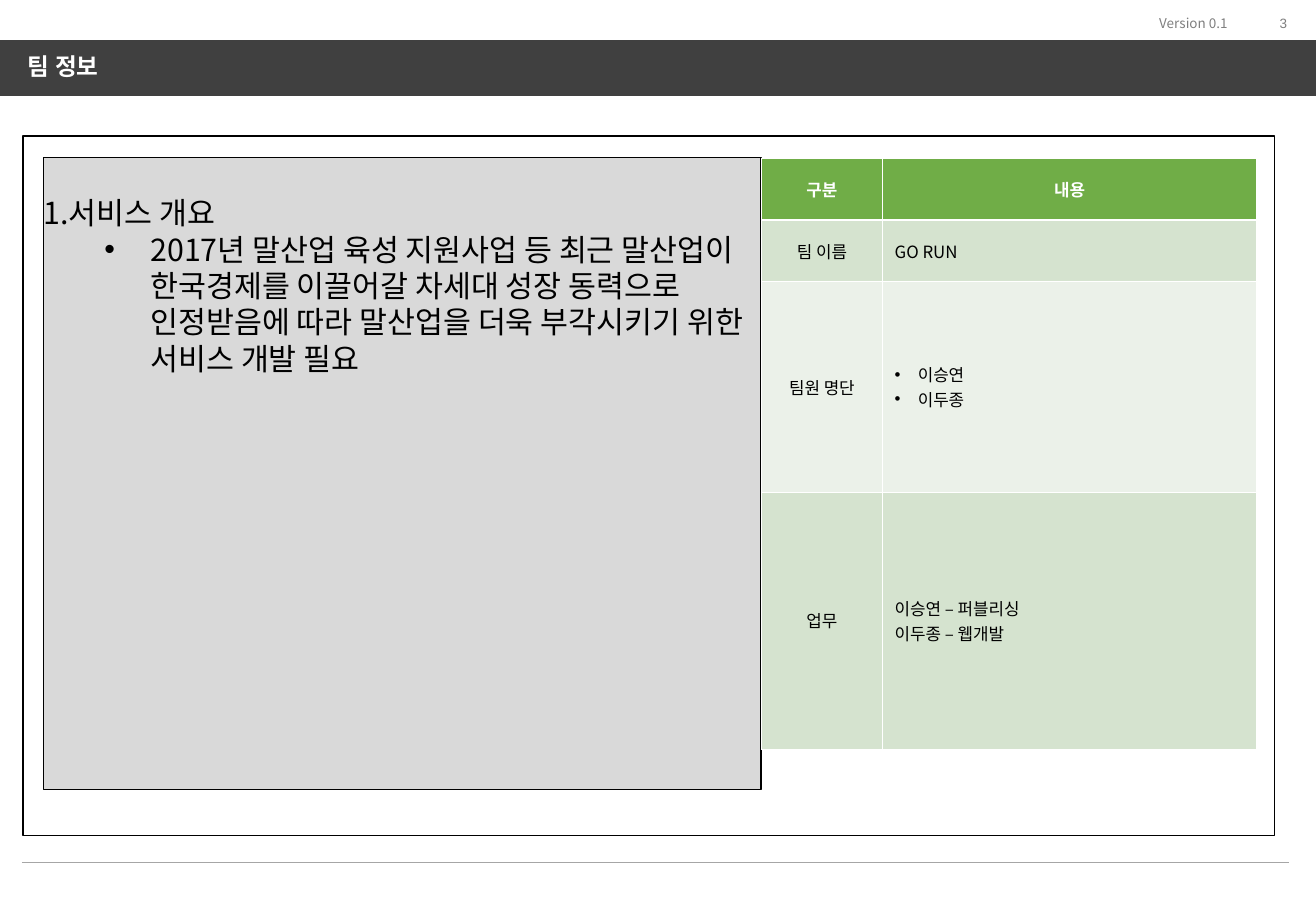
from lxml.etree import SubElement
from pptx import Presentation
from pptx.dml.color import RGBColor
from pptx.enum.shapes import MSO_CONNECTOR, MSO_SHAPE
from pptx.enum.text import MSO_ANCHOR, MSO_AUTO_SIZE, PP_ALIGN
from pptx.oxml import parse_xml
from pptx.oxml.ns import nsdecls, qn
from pptx.util import Inches, Pt

COLORS = {
    "white": "FFFFFF", "black": "000000", "bar": "404040", "muted": "7F7F7F",
    "rule": "A6A6A6", "panel": "D9D9D9", "header": "70AD47",
    "band_dark": "D5E3CF", "band_light": "EBF1E9",
}
KOREAN_FONT = "Noto Sans CJK KR"
TEAM_ROWS = [
    ("구분", ["내용"], 0.51),
    ("팀 이름", ["GO RUN"], 0.51),
    ("팀원 명단", ["이승연", "이두종"], 1.73),
    ("업무", ["이승연 – 퍼블리싱", "이두종 – 웹개발"], 2.12),
]
MEMBER_ROW = 2


def color(name):
    """Return the named colour."""
    return RGBColor.from_string(COLORS[name])


def add_text(paragraph, text, size, color_name, bold=False, font_name=KOREAN_FONT):
    """Add one formatted run to a paragraph."""
    run = paragraph.add_run()
    run.text = text
    run.font.size = Pt(size)
    run.font.bold = bold
    run.font.name = font_name
    run.font.color.rgb = color(color_name)
    SubElement(run.font._element, qn("a:ea"), typeface=KOREAN_FONT)


def set_bullet(paragraph, left, indent, tag="a:buChar", **mark):
    """Give a paragraph a list mark and its indents in inches."""
    properties = paragraph._p.get_or_add_pPr()
    properties.set("marL", str(Inches(left)))
    properties.set("indent", str(Inches(indent)))
    SubElement(properties, qn("a:buFont"), typeface="Arial")
    SubElement(properties, qn(tag), **(mark or {"char": "•"}))


def add_box(slide, box, fill=None, line=None, line_width=1):
    """Add a rectangle with an optional fill and outline."""
    shape = slide.shapes.add_shape(MSO_SHAPE.RECTANGLE, *map(Inches, box))
    shape.shadow.inherit = False
    if fill:
        shape.fill.solid()
        shape.fill.fore_color.rgb = color(fill)
    else:
        shape.fill.background()
    if line:
        shape.line.color.rgb = color(line)
        shape.line.width = Pt(line_width)
    else:
        shape.line.fill.background()
    return shape


def add_label(slide, box, text, font_name, alignment, wrap):
    """Add a small grey label at the top of the page."""
    frame = slide.shapes.add_textbox(*map(Inches, box)).text_frame
    frame.word_wrap = wrap
    frame.vertical_anchor = MSO_ANCHOR.MIDDLE
    frame.paragraphs[0].alignment = alignment
    add_text(frame.paragraphs[0], text, 8, "muted", font_name=font_name)


def add_title_bar(slide, box):
    """Add the dark bar and lay the title placeholder over it."""
    left, top, width, height = box
    add_box(slide, box, fill="bar")
    title = slide.shapes.title
    title.left, title.top = Inches(left + 0.13), Inches(top + 0.07)
    title.width, title.height = Inches(width - 0.26), Inches(height - 0.15)
    slide.shapes._spTree.append(title._element)
    frame = title.text_frame
    frame.auto_size = MSO_AUTO_SIZE.NONE
    frame.vertical_anchor = MSO_ANCHOR.MIDDLE
    paragraph = frame.paragraphs[0]
    paragraph.alignment = PP_ALIGN.LEFT
    paragraph.line_spacing = 0.9
    add_text(paragraph, "팀 정보", 14, "white", bold=True, font_name="Arial")


def add_footer_rule(slide, left, top, width):
    """Add the thin line at the foot of the page."""
    rule = slide.shapes.add_connector(
        MSO_CONNECTOR.STRAIGHT, Inches(left), Inches(top), Inches(left + width), Inches(top))
    rule.line.color.rgb = color("rule")
    rule.line.width = Pt(0.5)
    SubElement(rule._element.spPr, qn("a:effectLst"))


def add_overview(slide, box):
    """Add the grey service overview panel."""
    frame = add_box(slide, box, "panel", "black", 0.75).text_frame
    frame.word_wrap = True
    frame.vertical_anchor = MSO_ANCHOR.TOP
    frame.margin_left = frame.margin_right = frame.margin_bottom = 0
    frame.margin_top = Inches(0.3)
    heading = frame.paragraphs[0]
    heading.alignment = PP_ALIGN.LEFT
    set_bullet(heading, 0, 0, "a:buAutoNum", type="arabicPeriod")
    add_text(heading, "서비스 개요", 18, "black")
    detail = frame.add_paragraph()
    detail.level = 1
    detail.alignment = PP_ALIGN.LEFT
    set_bullet(detail, 0.88, -0.38)
    add_text(detail, "2017년 말산업 육성 지원사업 등 최근 말산업이 한국경제를 이끌어갈 "
             "차세대 성장 동력으로 인정받음에 따라 말산업을 더욱 부각시키기 위한 서비스 개발 필요",
             18, "black")


def set_borders(cell, row_index):
    """Draw white cell borders, heavier under the header row."""
    widths = {"lnL": 0.45, "lnR": 0.45,
              "lnT": 1.47 if row_index == 1 else 0.45,
              "lnB": 1.47 if row_index == 0 else 0.45}
    properties = cell._tc.get_or_add_tcPr()
    for position, (side, width) in enumerate(widths.items()):
        properties.insert(position, parse_xml(
            f'<a:{side} {nsdecls("a")} w="{Pt(width)}"><a:solidFill>'
            f'<a:srgbClr val="{COLORS["white"]}"/></a:solidFill></a:{side}>'))


def fill_cell(cell, lines, row_index, centered):
    """Write the lines of one table cell and style it."""
    is_header = row_index == 0
    fill = "header" if is_header else "band_dark" if row_index % 2 else "band_light"
    cell.fill.solid()
    cell.fill.fore_color.rgb = color(fill)
    set_borders(cell, row_index)
    cell.vertical_anchor = MSO_ANCHOR.MIDDLE
    for index, line in enumerate(lines):
        frame = cell.text_frame
        paragraph = frame.add_paragraph() if index else frame.paragraphs[0]
        paragraph.alignment = PP_ALIGN.CENTER if centered else PP_ALIGN.LEFT
        if row_index == MEMBER_ROW and not centered:
            set_bullet(paragraph, 0.19, -0.19)
        add_text(paragraph, line, 10, "white" if is_header else "black", bold=is_header)


def add_team_table(slide, box):
    """Add the table of team name, members and duties."""
    table = slide.shapes.add_table(len(TEAM_ROWS), 2, *map(Inches, box)).table
    table.columns[0].width = Inches(1)
    table.columns[1].width = Inches(box[2] - 1)
    for row_index, (label, lines, height) in enumerate(TEAM_ROWS):
        table.rows[row_index].height = Inches(height)
        fill_cell(table.cell(row_index, 0), [label], row_index, True)
        fill_cell(table.cell(row_index, 1), lines, row_index, row_index == 0)


def main():
    """Build and save the team information slide."""
    presentation = Presentation()
    presentation.slide_width, presentation.slide_height = Inches(10.84), Inches(7.5)
    slide = presentation.slides.add_slide(presentation.slide_layouts[5])
    add_label(slide, (9.91, 0.08, 0.79, 0.22), "3", "Arial", PP_ALIGN.RIGHT, True)
    add_label(slide, (9.45, 0.07, 0.78, 0.24), "Version 0.1", KOREAN_FONT, PP_ALIGN.LEFT, False)
    add_footer_rule(slide, 0.18, 7.1, 10.44)
    add_title_bar(slide, (0, 0.33, 10.84, 0.46))
    add_box(slide, (0.19, 1.12, 10.31, 5.76), line="black")
    add_overview(slide, (0.36, 1.3, 5.91, 5.2))
    add_team_table(slide, (6.27, 1.3, 4.08, 4.87))
    presentation.save("out.pptx")


if __name__ == "__main__":
    main()
